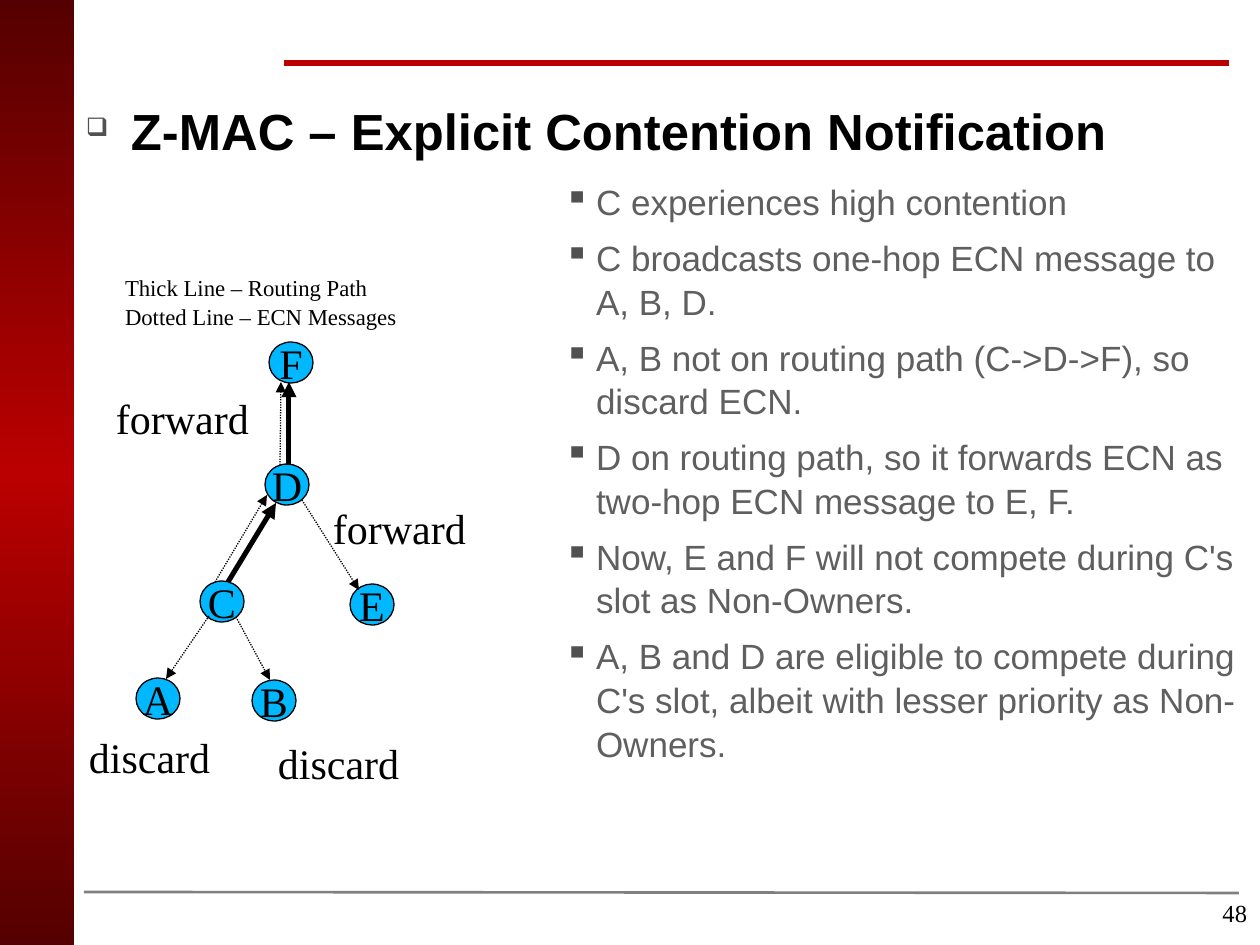
from lxml.etree import SubElement
from pptx import Presentation
from pptx.dml.color import RGBColor
from pptx.enum.dml import MSO_LINE
from pptx.enum.shapes import MSO_CONNECTOR, MSO_SHAPE
from pptx.enum.text import MSO_ANCHOR, PP_ALIGN
from pptx.oxml import parse_xml
from pptx.oxml.ns import nsdecls, qn
from pptx.util import Emu, Pt

COLORS = {
    "ink": "000000",
    "body": "5F5F5F",
    "bullet": "515151",
    "node": "00B8FF",
    "red": "BA0000",
    "dark_red": "550000",
    "gray": "808080",
}
SERIF, SANS = "Times New Roman", "Arial"
NODE_W, NODE_H = 44, 41


def px(length):
    return Emu(round(length * 914400 / 126))


def rgb(name):
    return RGBColor.from_string(COLORS[name])


class SlideBuilder:
    """Holds the slide style and adds each kind of element to the current slide."""

    def __init__(self, slide):
        self.slide = slide

    def band(self, left, top, width, height):
        band = self.slide.shapes.add_shape(
            MSO_SHAPE.RECTANGLE, px(left), px(top), px(width), px(height))
        band.shadow.inherit = False
        band.line.fill.background()
        band.fill.background()
        stops = "".join(
            f'<a:gs pos="{pos}"><a:srgbClr val="{COLORS[name]}"/></a:gs>'
            for pos, name in ((0, "dark_red"), (50000, "red"), (100000, "dark_red")))
        gradient = parse_xml(
            f'<a:gradFill {nsdecls("a")}><a:gsLst>{stops}</a:gsLst>'
            '<a:lin ang="5400000" scaled="0"/></a:gradFill>')
        properties = band._element.spPr
        properties.replace(properties.find(qn("a:noFill")), gradient)

    def line(self, start, end, color="ink", weight=0.75, dotted=False, arrow=False):
        line = self.slide.shapes.add_connector(
            MSO_CONNECTOR.STRAIGHT, *map(px, start), *map(px, end))
        line.line.color.rgb = rgb(color)
        line.line.width = Pt(weight)
        if dotted:
            line.line.dash_style = MSO_LINE.ROUND_DOT
        if arrow:
            SubElement(line.line._get_or_add_ln(), qn("a:tailEnd"), type="triangle")
        SubElement(line._element.spPr, qn("a:effectLst"))

    def node(self, letter, left, top):
        node = self.slide.shapes.add_shape(
            MSO_SHAPE.OVAL, px(left), px(top), px(NODE_W), px(NODE_H))
        node.shadow.inherit = False
        node.fill.solid()
        node.fill.fore_color.rgb = rgb("node")
        node.line.color.rgb = rgb("ink")
        node.line.width = Pt(0.75)
        frame = node.text_frame
        frame.vertical_anchor = MSO_ANCHOR.MIDDLE
        self.fill_frame(frame, [letter], 24, align=PP_ALIGN.CENTER, wrap=False)

    def text(self, box, lines, size, **style):
        frame = self.slide.shapes.add_textbox(*map(px, box)).text_frame
        self.fill_frame(frame, lines, size, **style)

    def fill_frame(self, frame, lines, size, font=SERIF, color="ink", bold=False,
                   align=PP_ALIGN.LEFT, wrap=True, inset=(0, 0), spacing=1.0,
                   gap=0, bullet=None):
        frame.word_wrap = wrap
        frame.margin_left = frame.margin_right = px(inset[0])
        frame.margin_top = frame.margin_bottom = px(inset[1])
        frame.text = "\n".join(lines)
        for index, paragraph in enumerate(frame.paragraphs):
            paragraph.alignment = align
            paragraph.line_spacing = spacing
            if index and gap:
                paragraph.space_before = Pt(gap)
            if bullet:
                self.bullet(paragraph, *bullet)
            for run in paragraph.runs:
                run.font.name = font
                run.font.size = Pt(size)
                run.font.bold = bold
                run.font.color.rgb = rgb(color)

    def bullet(self, paragraph, char, margin, hang, percent, level):
        paragraph.level = level
        properties = paragraph._p.get_or_add_pPr()
        properties.set("marL", str(px(margin)))
        properties.set("indent", str(-px(hang)))
        tint = SubElement(properties, qn("a:buClr"))
        SubElement(tint, qn("a:srgbClr"), val=COLORS["bullet"])
        SubElement(properties, qn("a:buSzPct"), val=str(percent * 1000))
        SubElement(properties, qn("a:buChar"), char=char)


def main():
    deck = Presentation()
    deck.slide_width, deck.slide_height = px(1260), px(945)
    page = SlideBuilder(deck.slides.add_slide(deck.slide_layouts[6]))

    page.text((966, 892, 294, 40), ["48"], 14, align=PP_ALIGN.RIGHT, inset=(13, 6))
    page.band(0, 0, 74, 945)
    page.line((284, 63), (1229, 63), "red", 3)
    page.line((84, 892), (1239, 893), "gray", 1.5)
    page.text((73, 94, 1124, 81), ["Z-MAC – Explicit Contention Notification"], 29,
              font=SANS, bold=True, inset=(13, 6), bullet=("❑", 45, 45, 50, 0))

    nodes = {"A": (136, 678), "F": (269, 342), "E": (350, 584),
             "D": (265, 464), "B": (252, 680), "C": (200, 581)}
    for letter, corner in nodes.items():
        page.node(letter, *corner)

    routing_path = [((228, 582), (276, 503)), ((289, 465), (289, 382))]
    for start, end in routing_path:
        page.line(start, end, weight=2.89, arrow=True)

    ecn_messages = [
        ((209, 616), (166, 679)),
        ((236, 617), (270, 680)),
        ((215, 582), (267, 495)),
        ((280, 465), (281, 382)),
        ((302, 500), (359, 590)),
    ]
    for start, end in ecn_messages:
        page.line(start, end, dotted=True, arrow=True)

    actions = [("discard", 278, 737, 163), ("discard", 89, 731, 152),
               ("forward", 116, 392, 151), ("forward", 333, 502, 140)]
    for action, left, top, width in actions:
        page.text((left, top, width, 47), [action], 24)

    page.text((438, 179, 799, 605), [
        "C experiences high contention",
        "C broadcasts one-hop ECN message to A, B, D.",
        "A, B not on routing path (C->D->F), so discard ECN.",
        "D on routing path, so it forwards ECN as two-hop ECN message to E, F.",
        "Now, E and F will not compete during C's slot as Non-Owners.",
        "A, B and D are eligible to compete during C's slot, "
        "albeit with lesser priority as Non-Owners.",
    ], 20, font=SANS, color="body", spacing=1.04, gap=7, bullet=("▪", 158, 32, 100, 2))
    page.text((125, 272, 299, 53),
              ["Thick Line – Routing Path", "Dotted Line – ECN Messages"], 13, spacing=1.07)

    deck.save("out.pptx")


if __name__ == "__main__":
    main()
